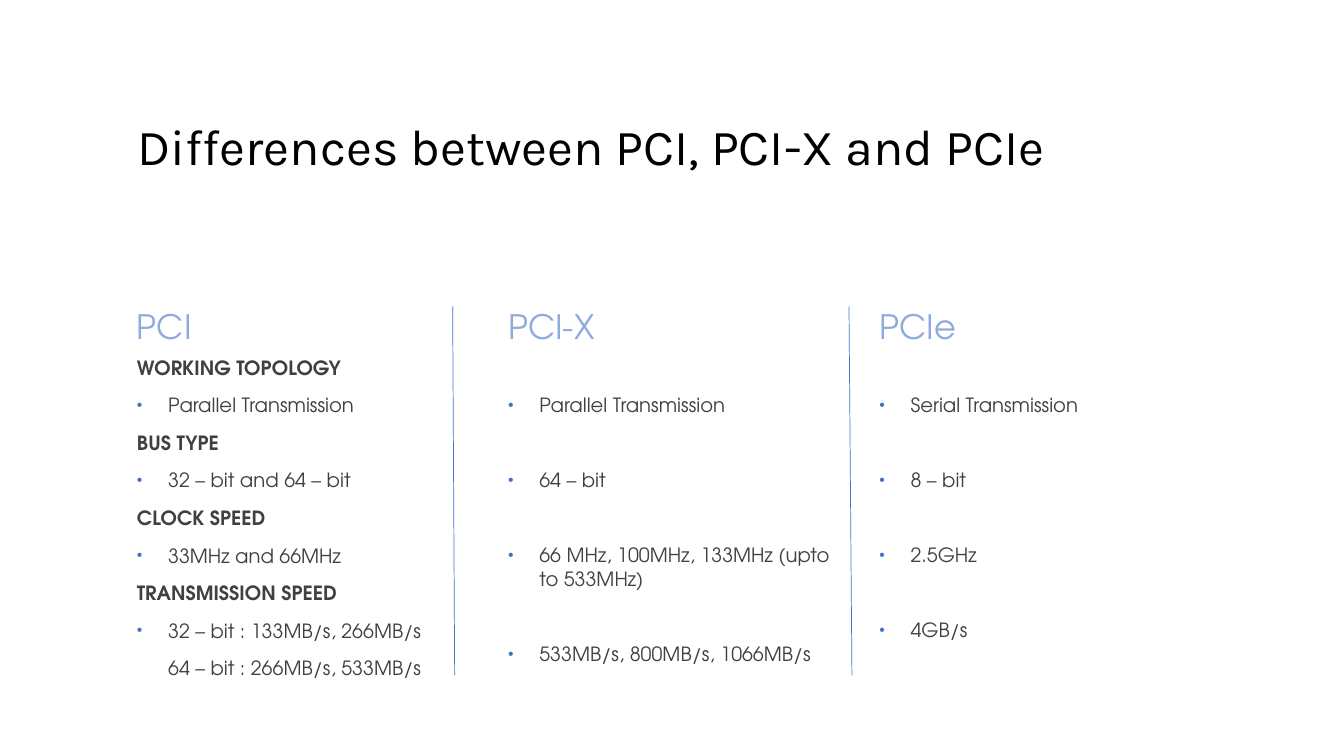
from dataclasses import dataclass

from lxml import etree
from pptx import Presentation
from pptx.dml.color import RGBColor
from pptx.enum.shapes import MSO_CONNECTOR
from pptx.enum.text import MSO_ANCHOR, MSO_AUTO_SIZE, PP_ALIGN
from pptx.oxml.ns import qn
from pptx.util import Inches, Pt

LINE = MSO_CONNECTOR.STRAIGHT
TOP, MID, LOW = MSO_ANCHOR.TOP, MSO_ANCHOR.MIDDLE, MSO_ANCHOR.BOTTOM
FIXED = MSO_AUTO_SIZE.NONE
LEFT = PP_ALIGN.LEFT


@dataclass(frozen=True)
class Theme:
    black: str = "000000"
    gray: str = "404040"
    blue: str = "4472C4"
    pale: str = "8FAADC"
    title: str = "Karla"
    body: str = "TeX Gyre Adventor"
    big: int = 36
    mid: int = 24
    small: int = 14
    gap: int = 10
    row: float = 26.8
    hang: float = 0.31


class Board:
    """Draws styled elements placed in percent of the slide size."""

    def __init__(self, deck, theme):
        self.deck, self.theme = deck, theme
        self.slide = deck.slides.add_slide(deck.slide_layouts[5])

    def spot(self, x, y):
        return (round(self.deck.slide_width * x / 100),
                round(self.deck.slide_height * y / 100))

    def style(self, par, size, color, face, bold=False):
        par.alignment = LEFT
        for run in par.runs:
            font = run.font
            font.size, font.name, font.bold = Pt(size), face, bold
            font.color.rgb = RGBColor.from_string(color)

    def frame(self, shape, anchor):
        frame = shape.text_frame
        frame.word_wrap, frame.auto_size = True, FIXED
        frame.vertical_anchor = anchor
        return frame

    def box(self, x, y, wide, high, anchor):
        shape = self.slide.shapes.add_textbox(*self.spot(x, y), *self.spot(wide, high))
        return self.frame(shape, anchor)

    def title(self, text, x, y, wide, high):
        shape = self.slide.shapes.title
        shape.left, shape.top = self.spot(x, y)
        shape.width, shape.height = self.spot(wide, high)
        frame = self.frame(shape, MID)
        frame.text = text
        self.style(frame.paragraphs[0], self.theme.big, self.theme.black, self.theme.title)

    def head(self, text, *area):
        frame = self.box(*area, LOW)
        frame.text = text
        self.style(frame.paragraphs[0], self.theme.mid, self.theme.pale, self.theme.body)

    def bullet(self, par):
        props = par._p.get_or_add_pPr()
        color = etree.SubElement(props, qn("a:buClr"))
        etree.SubElement(color, qn("a:srgbClr"), val=self.theme.blue)
        etree.SubElement(props, qn("a:buSzPct"), val="80000")
        etree.SubElement(props, qn("a:buFont"), typeface="Arial")
        etree.SubElement(props, qn("a:buChar"), char="•")

    def items(self, rows, gap, *area):
        theme = self.theme
        frame = self.box(*area, TOP)
        frame.text = "\n".join(text for _, text in rows)
        for i, (par, (kind, _)) in enumerate(zip(frame.paragraphs, rows)):
            if i:
                par.space_before = Pt(gap)
            if kind != "label":
                props = par._p.get_or_add_pPr()
                props.set("marL", str(Inches(theme.hang)))
                props.set("indent", str(Inches(-theme.hang if kind == "item" else 0)))
            if kind == "item":
                self.bullet(par)
            self.style(par, theme.small, theme.gray, theme.body, kind == "label")

    def rule(self, start, end):
        line = self.slide.shapes.add_connector(LINE, *self.spot(*start), *self.spot(*end))
        line.line.color.rgb = RGBColor.from_string(self.theme.blue)
        line.line.width = Pt(0.5)
        etree.SubElement(line._element.spPr, qn("a:effectLst"))


PCI = [
    ("label", "WORKING TOPOLOGY"), ("item", "Parallel Transmission"),
    ("label", "BUS TYPE"), ("item", "32 – bit and 64 – bit"),
    ("label", "CLOCK SPEED"), ("item", "33MHz and 66MHz"),
    ("label", "TRANSMISSION SPEED"), ("item", "32 – bit : 133MB/s, 266MB/s"),
    ("more", "64 – bit : 266MB/s, 533MB/s"),
]
PCIX = ["Parallel Transmission", "64 – bit", "66 MHz, 100MHz, 133MHz (upto to 533MHz)",
        "533MB/s, 800MB/s, 1066MB/s"]
PCIE = ["Serial Transmission", "8 – bit", "2.5GHz", "4GB/s"]


def main():
    deck = Presentation()
    deck.slide_width, deck.slide_height = Inches(13.33), Inches(7.5)
    theme = Theme()
    board = Board(deck, theme)
    left, step, wide = 9.45, 27.62, 25.8
    top, high = 46.4, 44.27
    skip = 100 * Pt(theme.row) / deck.slide_height

    board.title("Differences between PCI, PCI-X and PCIe", left, 14.13, 72.39, 10.27)
    for i, name in enumerate(("PCI", "PCI-X", "PCIe")):
        board.head(name, left + i * step, 38, wide, 8.4)
    board.items(PCI, theme.gap, left, top, wide, high)
    for i, texts in enumerate((PCIX, PCIE), 1):
        rows = [("item", text) for text in texts]
        board.items(rows, theme.gap + theme.row, left + i * step, top + skip, wide, high - skip)
    for start, end in ((33.68, 33.83), (63.17, 63.39)):
        board.rule((start, 40.53), (end, 89.33))
    deck.save("out.pptx")


if __name__ == "__main__":
    main()
